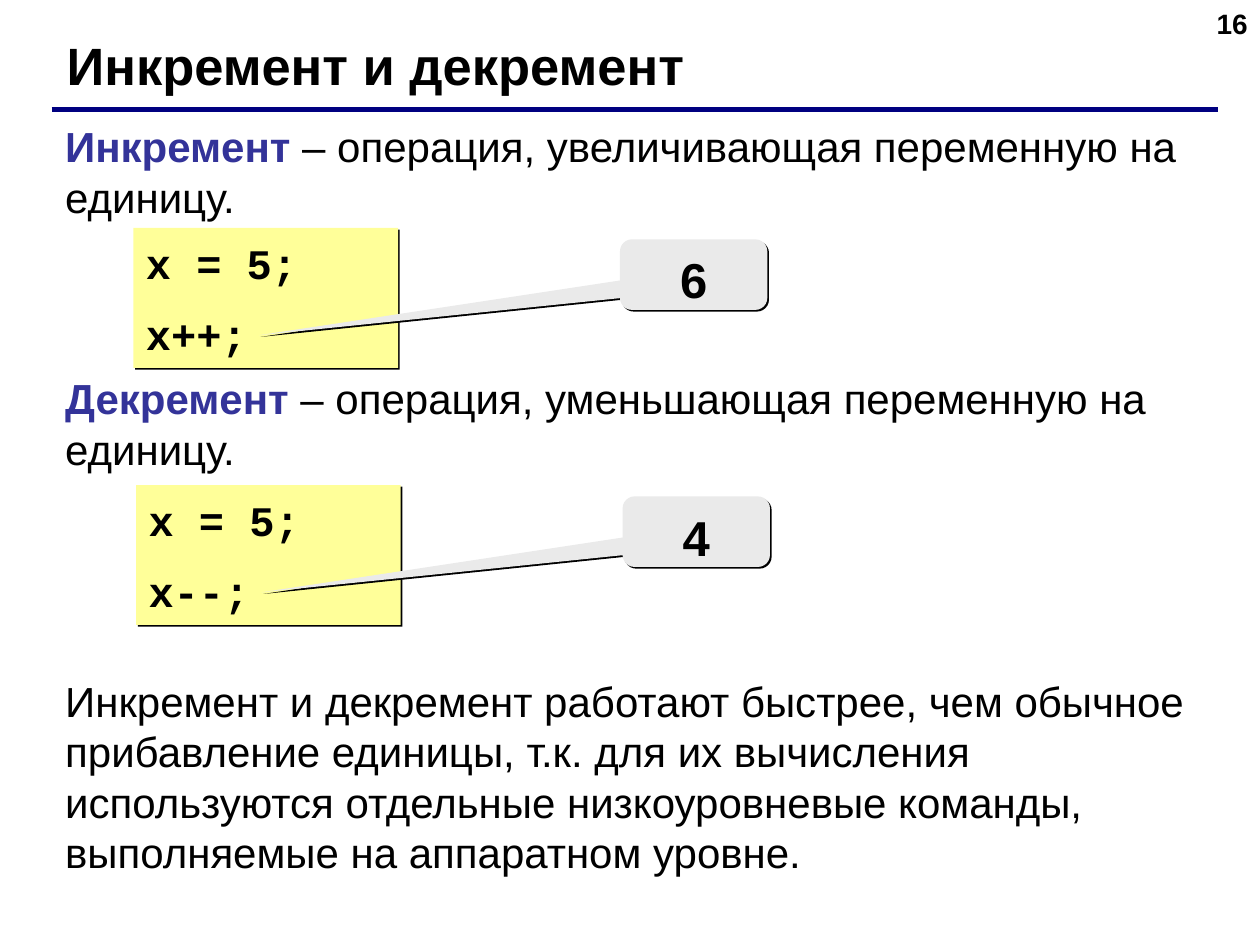
from lxml.etree import SubElement
from pptx import Presentation
from pptx.dml.color import RGBColor
from pptx.enum.shapes import MSO_CONNECTOR, MSO_SHAPE
from pptx.enum.text import MSO_ANCHOR, PP_ALIGN
from pptx.oxml.ns import qn
from pptx.util import Pt

theme = {
    "text": "000000", "term": "333399", "rule": "000080",
    "code_fill": "FFFF99", "callout_fill": "EAEAEA", "shadow": "000000",
    "number_size": 16, "title_size": 30, "body_size": 24, "callout_size": 28,
    "font": "Arial", "code_font": "Courier New", "leading": 1.2,
}


def write(s, paragraphs, size, font="font", align=PP_ALIGN.LEFT, before=0, wrap=True,
          anchor=MSO_ANCHOR.TOP):
    tf = s.text_frame
    frame_format = {"word_wrap": wrap, "vertical_anchor": anchor}
    for name, value in frame_format.items():
        setattr(tf, name, value)
    for i, (gap, runs) in enumerate(paragraphs):
        p = tf.paragraphs[0] if i == 0 else tf.add_paragraph()
        paragraph_format = {
            "alignment": align, "space_before": Pt(before + gap),
            "line_spacing": Pt(theme[size] * theme["leading"]),
        }
        for name, value in paragraph_format.items():
            setattr(p, name, value)
        for text, color, bold in runs:
            r = p.add_run()
            r.text = text
            run_format = {"name": theme[font], "size": Pt(theme[size]), "bold": bold}
            for name, value in run_format.items():
                setattr(r.font, name, value)
            r.font.color.rgb = RGBColor.from_string(theme[color])


def add_block(kind, left, top, width, height, fill):
    s = slide.shapes.add_shape(kind, Pt(left), Pt(top), Pt(width), Pt(height))
    s.fill.solid()
    s.fill.fore_color.rgb = RGBColor.from_string(theme[fill])
    s.line.fill.background()
    s.shadow.inherit = False
    effects = s._element.spPr.find(qn("a:effectLst"))
    shadow = SubElement(effects, qn("a:outerShdw"), dist="17780", dir="2700000",
                        algn="ctr", rotWithShape="0")
    SubElement(shadow, qn("a:srgbClr"), val=theme["shadow"])
    return s


prs = Presentation()
prs.slide_width, prs.slide_height = Pt(720), Pt(540)
slide = prs.slides.add_slide(prs.slide_layouts[6])

s = slide.shapes.add_textbox(Pt(552), Pt(0), Pt(168), Pt(37.5))
write(s, [(0, [("16", "text", True)])], "number_size", align=PP_ALIGN.RIGHT)

rule = slide.shapes.add_connector(MSO_CONNECTOR.STRAIGHT, Pt(29.5), Pt(62.6), Pt(696), Pt(62.6))
rule.line.color.rgb = RGBColor.from_string(theme["rule"])
rule.line.width = Pt(3)
SubElement(rule._element.spPr, qn("a:effectLst"))

s = slide.shapes.add_textbox(Pt(31), Pt(15.1), Pt(641), Pt(43.2))
write(s, [(0, [("Инкремент и декремент", "text", True)])], "title_size")

line = theme["body_size"] * theme["leading"]
s = slide.shapes.add_textbox(Pt(30.2), Pt(65.5), Pt(681), Pt(439.2))
write(s, [
    (0, [("Инкремент", "term", True),
         (" – операция, увеличивающая переменную на единицу.", "text", False)]),
    (3 * line, [("Декремент", "term", True),
                (" – операция, уменьшающая переменную на единицу.", "text", False)]),
    (4 * line, [("Инкремент и декремент работают быстрее, чем обычное прибавление единицы, "
                 "т.к. для их вычисления используются отдельные низкоуровневые команды, "
                 "выполняемые на аппаратном уровне.", "text", False)]),
], "body_size")

examples = [(76.3, 130.3, "x++;", "6"), (77.8, 277.2, "x--;", "4")]
for left, top, statement, result in examples:
    s = add_block(MSO_SHAPE.RECTANGLE, left, top, 151.2, 80, "code_fill")
    write(s, [(0, [(text, "text", True)]) for text in ("x = 5;", statement)],
          "body_size", font="code_font", before=12, wrap=False, anchor=MSO_ANCHOR.MIDDLE)

    s = add_block(MSO_SHAPE.ROUNDED_RECTANGULAR_CALLOUT, left + 278, top + 6.5, 84.2, 40.3,
                  "callout_fill")
    for i, value in enumerate((-2.95, 0.86, 0.17)):
        s.adjustments[i] = value
    s.text_frame.margin_top = Pt(9)
    write(s, [(0, [(result, "text", True)])], "callout_size", align=PP_ALIGN.CENTER,
          anchor=MSO_ANCHOR.MIDDLE)

prs.save("out.pptx")
